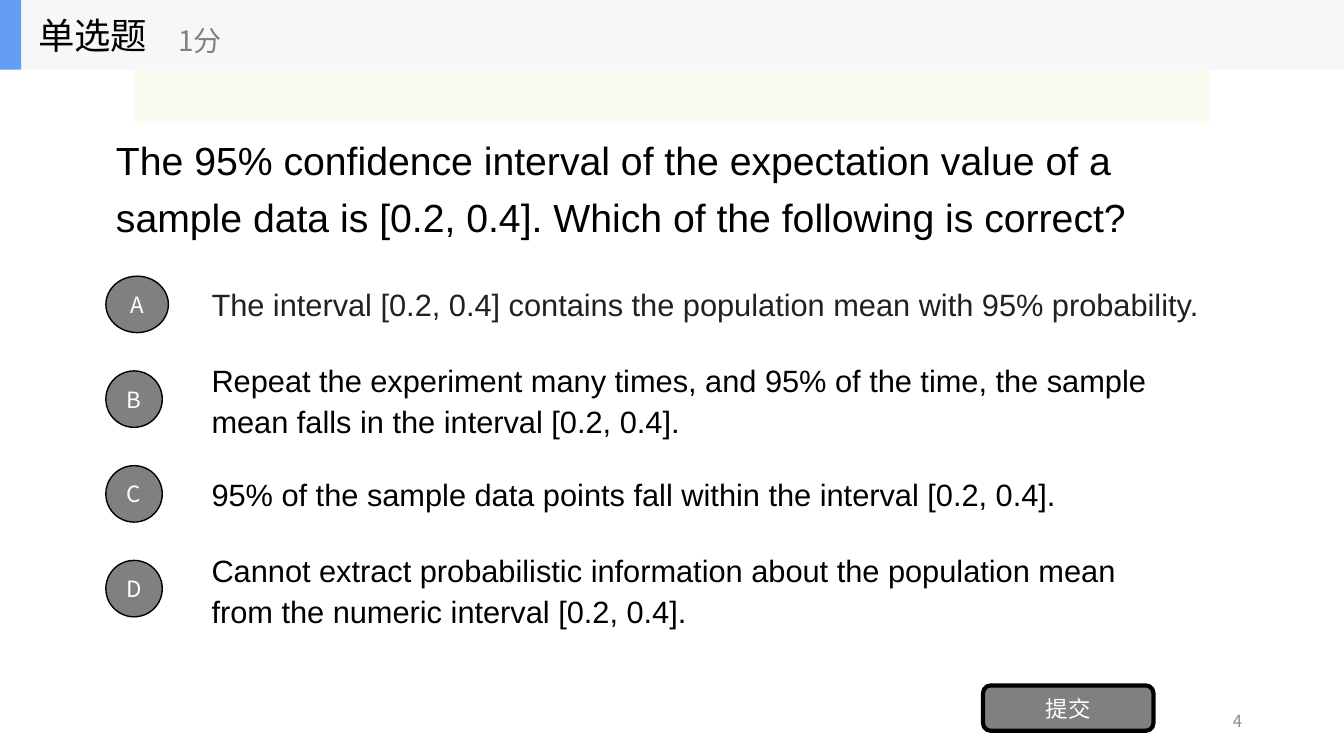
"""Build a single-choice quiz page about confidence intervals."""
from dataclasses import dataclass

from lxml.etree import SubElement
from pptx import Presentation
from pptx.dml.color import RGBColor
from pptx.enum.shapes import MSO_SHAPE
from pptx.enum.text import MSO_ANCHOR, MSO_AUTO_SIZE, PP_ALIGN
from pptx.oxml.ns import qn
from pptx.util import Inches, Pt

BLACK = RGBColor(0x00, 0x00, 0x00)
WHITE = RGBColor(0xFF, 0xFF, 0xFF)
INK = RGBColor(0x20, 0x21, 0x24)
GREY = RGBColor(0x80, 0x80, 0x80)
NUMBER_GREY = RGBColor(0x8C, 0x8C, 0x8C)
HEADER_GREY = RGBColor(0xF6, 0xF7, 0xF8)
ACCENT_BLUE = RGBColor(0x63, 0x9E, 0xF4)
CREAM = RGBColor(0xFB, 0xFA, 0xEF)

LATIN_FONT = "Arial"
CHINESE_FONT = "Noto Sans CJK SC"
PAGE_WIDTH = 13.33
HEADER_HEIGHT = 0.69
MARGIN_LEFT = 1.05
OPTION_LEFT = 2
OPTION_TOP = 2.67
OPTION_STEP = 0.94
OPTION_HEIGHT = 0.7
BADGE_SIZE = 0.56


@dataclass
class Area:
    left: float
    top: float
    width: float
    height: float

    def lengths(self):
        return [Inches(value) for value in (self.left, self.top, self.width, self.height)]


@dataclass
class Style:
    size: int
    color: RGBColor = BLACK
    font: str = CHINESE_FONT
    align: PP_ALIGN = PP_ALIGN.LEFT
    spacing: float = 1.0


@dataclass
class Option:
    letter: str
    text: str
    width: float
    color: RGBColor = BLACK
    spacing: float = 1.0
    badge_width: float = BADGE_SIZE


BUTTON_STYLE = Style(16, WHITE, align=PP_ALIGN.CENTER)
QUESTION = ("The 95% confidence interval of the expectation value of a sample data "
            "is [0.2, 0.4]. Which of the following is correct?")
OPTIONS = [
    Option("A", "The interval [0.2, 0.4] contains the population mean with 95% probability.",
           10.27, color=INK, badge_width=0.62),
    Option("B", "Repeat the experiment many times, and 95% of the time, the sample mean "
           "falls in the interval [0.2, 0.4].", 9.87, spacing=1.1),
    Option("C", "95% of the sample data points fall within the interval [0.2, 0.4].", 9.33),
    Option("D", "Cannot extract probabilistic information about the population mean "
           "from the numeric interval [0.2, 0.4].", 9.33, spacing=1.1),
]


def write(box, text: str, style: Style) -> None:
    frame = box.text_frame
    frame_format = {"word_wrap": True, "auto_size": MSO_AUTO_SIZE.NONE,
                    "vertical_anchor": MSO_ANCHOR.MIDDLE}
    para = frame.paragraphs[0]
    span = para.add_run()
    span.text = text
    para_format = {"alignment": style.align, "line_spacing": style.spacing}
    font_format = {"name": style.font, "size": Pt(style.size), "bold": False}
    for target, values in ((frame, frame_format), (para, para_format),
                           (span.font, font_format)):
        for name, value in values.items():
            setattr(target, name, value)
    span.font.color.rgb = style.color
    SubElement(span.font._element, qn("a:ea"), typeface=style.font)


def add_text(page, area: Area, text: str, style: Style) -> None:
    write(page.shapes.add_textbox(*area.lengths()), text, style)


def add_panel(page, kind: MSO_SHAPE, area: Area, fill: RGBColor, line_width: float = 0):
    panel = page.shapes.add_shape(kind, *area.lengths())
    panel.shadow.inherit = False
    panel.fill.solid()
    panel.fill.fore_color.rgb = fill
    if line_width:
        panel.line.color.rgb = BLACK
        panel.line.width = Pt(line_width)
    else:
        panel.line.fill.background()
    return panel


def add_button(page, kind: MSO_SHAPE, area: Area, text: str, line_width: float) -> None:
    button = add_panel(page, kind, area, GREY, line_width)
    for side in ("margin_left", "margin_right", "margin_top", "margin_bottom"):
        setattr(button.text_frame, side, 0)
    write(button, text, BUTTON_STYLE)


def add_option(page, option: Option, row: int) -> None:
    top = OPTION_TOP + row * OPTION_STEP
    badge_top = top + (OPTION_HEIGHT - BADGE_SIZE) / 2
    add_text(page, Area(OPTION_LEFT, top, option.width, OPTION_HEIGHT), option.text,
             Style(22, option.color, LATIN_FONT, spacing=option.spacing))
    add_button(page, MSO_SHAPE.OVAL,
               Area(MARGIN_LEFT, badge_top, option.badge_width, BADGE_SIZE),
               option.letter, 1)


def add_header(page) -> None:
    for width, color in ((PAGE_WIDTH, HEADER_GREY), (0.21, ACCENT_BLUE)):
        add_panel(page, MSO_SHAPE.RECTANGLE, Area(0, 0, width, HEADER_HEIGHT), color)
    add_text(page, Area(0.28, 0, 2.08, HEADER_HEIGHT), "单选题", Style(26))
    add_text(page, Area(1.67, 0.12, 2.5, 0.56), "1分", Style(20, GREY))
    strip = add_panel(page, MSO_SHAPE.RECTANGLE,
                      Area(1.33, HEADER_HEIGHT, 10.67, 0.53), CREAM)
    color = strip.fill._xPr.find(qn("a:solidFill"))[0]
    SubElement(color, qn("a:alpha"), val="90000")


def main() -> None:
    deck = Presentation()
    deck.slide_width, deck.slide_height = Inches(PAGE_WIDTH), Inches(7.5)
    page = deck.slides.add_slide(deck.slide_layouts[5])
    title = page.shapes.title
    title.left, title.top, title.width, title.height = Area(
        MARGIN_LEFT, 0.95, 10.67, 1.74).lengths()
    write(title, QUESTION, Style(28, font=LATIN_FONT, spacing=1.2))
    for row, option in enumerate(OPTIONS):
        add_option(page, option, row)
    add_button(page, MSO_SHAPE.ROUNDED_RECTANGLE, Area(9.75, 6.8, 1.69, 0.45), "提交", 3)
    add_text(page, Area(9.42, 6.95, 3, 0.4), "4",
             Style(12, NUMBER_GREY, align=PP_ALIGN.RIGHT))
    add_header(page)
    deck.save("out.pptx")


if __name__ == "__main__":
    main()
